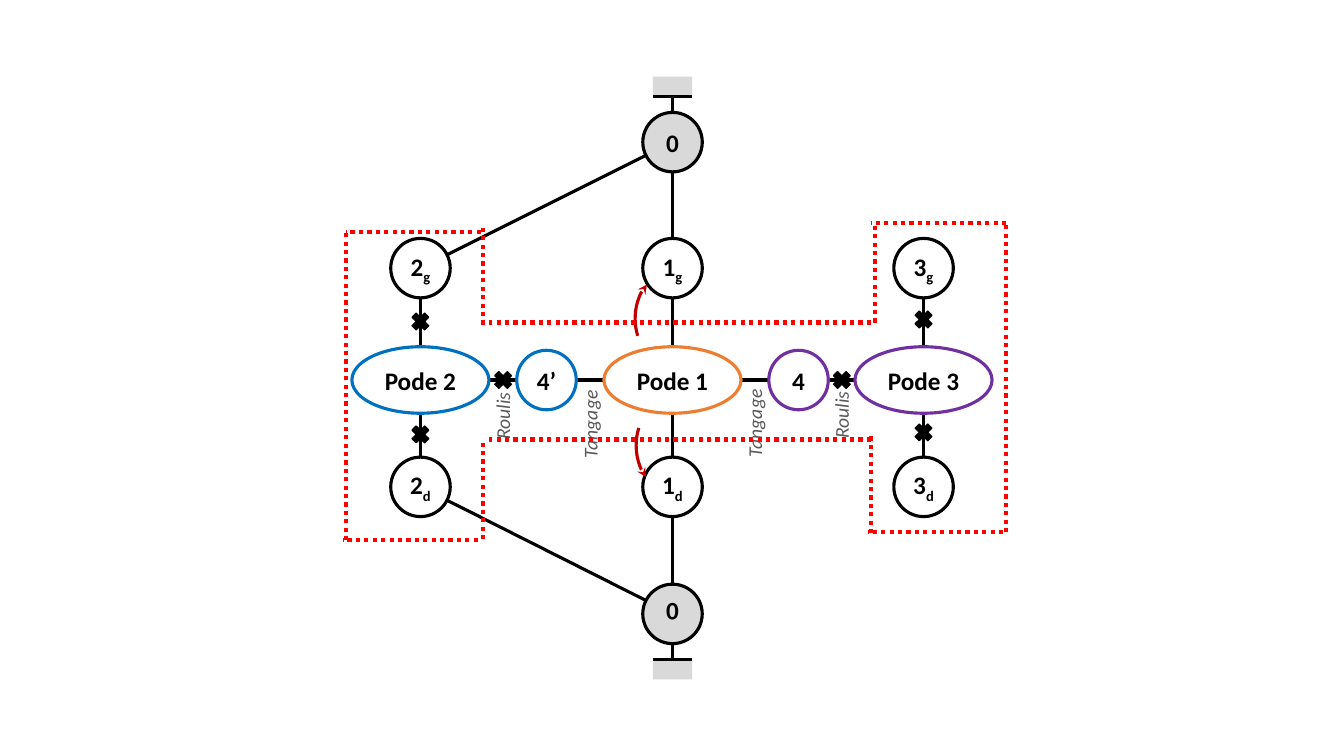
from lxml.etree import SubElement
from pptx import Presentation
from pptx.dml.color import RGBColor
from pptx.enum.dml import MSO_LINE
from pptx.enum.shapes import MSO_CONNECTOR, MSO_SHAPE as Shape
from pptx.enum.text import MSO_ANCHOR, MSO_AUTO_SIZE, PP_ALIGN
from pptx.oxml.ns import qn
from pptx.util import Inches, Pt

COLORS = {
    "black": "000000", "white": "FFFFFF", "gray": "D9D9D9", "text_gray": "595959",
    "blue": "0070C0", "orange": "ED7D31", "purple": "7030A0",
    "dark_red": "C00000", "red": "FF0000",
}
LEFT, MIDDLE, RIGHT = 4.17, 6.67, 9.16
AXIS, UPPER, LOWER = 3.77, 2.66, 4.83
TOP_BASE, BOTTOM_BASE = 1.41, 6.09
NODE, PODE_WIDTH, PODE_HEIGHT = 0.59, 1.36, 0.66
MARK, GROUND_WIDTH, GROUND_HEIGHT = 0.24, 0.39, 0.2


class GraphSlide:
    font_name = "Calibri"
    line_width = 2.25

    def __init__(self, presentation):
        self.slide = presentation.slides.add_slide(presentation.slide_layouts[6])

    def color(self, name):
        return RGBColor.from_string(COLORS[name])

    def style_font(self, font, size, color):
        font.name = self.font_name
        font.size = Pt(size)
        font.color.rgb = self.color(color)

    def shape(self, kind, x, y, width, height, fill=None, line=None, line_width=line_width):
        shape = self.slide.shapes.add_shape(
            kind, Inches(x - width / 2), Inches(y - height / 2), Inches(width), Inches(height))
        shape.shadow.inherit = False
        if fill:
            shape.fill.solid()
            shape.fill.fore_color.rgb = self.color(fill)
        else:
            shape.fill.background()
        if line:
            shape.line.color.rgb = self.color(line)
            shape.line.width = Pt(line_width)
        else:
            shape.line.fill.background()
        return shape

    def node(self, label, x, y, width=NODE, height=NODE, fill="white", line="black", subscript=""):
        shape = self.shape(Shape.OVAL, x, y, width, height, fill, line)
        frame = shape.text_frame
        frame.margin_left = frame.margin_right = frame.margin_top = frame.margin_bottom = 0
        frame.vertical_anchor = MSO_ANCHOR.MIDDLE
        frame.text = label
        paragraph = frame.paragraphs[0]
        paragraph.alignment = PP_ALIGN.CENTER
        if subscript:
            run = paragraph.add_run()
            run.text = subscript
            run.font._element.set("baseline", "-25000")
        for run in paragraph.runs:
            self.style_font(run.font, 18, "black")
            run.font.bold = True
        return shape

    def line(self, x1, y1, x2, y2, color="black", width=line_width, dash=None):
        connector = self.slide.shapes.add_connector(
            MSO_CONNECTOR.STRAIGHT, Inches(x1), Inches(y1), Inches(x2), Inches(y2))
        connector.line.color.rgb = self.color(color)
        connector.line.width = Pt(width)
        if dash:
            connector.line.dash_style = dash
        SubElement(connector._element.spPr, qn("a:effectLst"))
        return connector

    def boundary(self, x1, y1, x2, y2):
        self.line(x1, y1, x2, y2, "red", 3, MSO_LINE.ROUND_DOT)

    def mark(self, x, y):
        self.shape(Shape.MATH_MULTIPLY, x, y, MARK, MARK, "black", "black", 1)

    def ground(self, edge, direction):
        block = self.shape(Shape.RECTANGLE, MIDDLE, edge + direction * GROUND_HEIGHT / 2,
                           GROUND_WIDTH, GROUND_HEIGHT, "gray")
        stem = self.line(MIDDLE, edge - direction * 0.15, MIDDLE, edge)
        stem.end_connect(block, 2 if direction < 0 else 0)
        self.line(MIDDLE - GROUND_WIDTH / 2, edge, MIDDLE + GROUND_WIDTH / 2, edge)

    def axis_label(self, text, left, top, width):
        box = self.slide.shapes.add_textbox(Inches(left), Inches(top), Inches(width), Inches(0.34))
        box.rotation = 270
        frame = box.text_frame
        frame.word_wrap = True
        frame.auto_size = MSO_AUTO_SIZE.SHAPE_TO_FIT_TEXT
        frame.text = text
        paragraph = frame.paragraphs[0]
        paragraph.alignment = PP_ALIGN.RIGHT
        font = paragraph.runs[0].font
        self.style_font(font, 14, "text_gray")
        font.italic = True

    def arc_arrow(self, x, y, start, end, arrow_end):
        arc = self.shape(Shape.ARC, x, y, 0.6, 0.85, line="dark_red")
        arc.adjustments[0] = start
        arc.adjustments[1] = end
        SubElement(arc.line._get_or_add_ln(), qn(f"a:{arrow_end}"), type="stealth")


def draw(graph):
    half_node, half_pode = NODE / 2, PODE_HEIGHT / 2
    for x in (LEFT, MIDDLE, RIGHT):
        graph.line(x, UPPER + half_node, x, AXIS - half_pode)
        graph.line(x, AXIS + half_pode, x, LOWER - half_node)
    for x1, x2 in ((LEFT, MIDDLE), (MIDDLE, RIGHT)):
        graph.line(x1 + PODE_WIDTH / 2, AXIS, x2 - PODE_WIDTH / 2, AXIS)
    for base, row, side in ((TOP_BASE, UPPER, 1), (BOTTOM_BASE, LOWER, -1)):
        graph.line(MIDDLE, base, LEFT, row)
        graph.line(MIDDLE, base + side * half_node, MIDDLE, row - side * half_node)

    columns = ((LEFT, "2", "blue"), (MIDDLE, "1", "orange"), (RIGHT, "3", "purple"))
    for x, number, color in columns:
        graph.node(f"Pode {number}", x, AXIS, PODE_WIDTH, PODE_HEIGHT, None, color)
        fill = None if x == MIDDLE else "white"
        for y, side in ((UPPER, "g"), (LOWER, "d")):
            graph.node(number, x, y, fill=fill, subscript=side)
    graph.node("0", MIDDLE, TOP_BASE, fill="gray")
    graph.node("0", MIDDLE, BOTTOM_BASE, fill="gray").rotation = 180
    graph.ground(0.96, -1)
    graph.ground(6.54, 1)
    graph.node("4", 7.92, AXIS, line="purple")
    graph.node("4’", 5.42, AXIS, line="blue")

    for text, left, top, width in (
        ("Roulis", 4.58, 4.03, 0.81), ("Roulis", 7.94, 4.02, 0.81),
        ("Tangage", 5.32, 4.14, 1.07), ("Tangage", 6.95, 4.13, 1.07),
    ):
        graph.axis_label(text, left, top, width)
    for x, y in ((LEFT, 3.19), (LEFT, 4.31), (RIGHT, 3.17), (RIGHT, 4.29),
                 (8.35, AXIS), (4.99, AXIS)):
        graph.mark(x, y)
    graph.arc_arrow(6.6, 3.16, 88.78, 144.93, "tailEnd")
    graph.arc_arrow(6.61, 4.42, 73.67, 127.44, "headEnd")

    for ends in (
        (8.64, 3.2, 4.85, 3.2), (8.64, 4.36, 4.85, 4.36),
        (9.98, 5.28, 9.98, 2.21), (8.68, 3.2, 8.68, 2.21),
        (9.98, 2.21, 8.64, 2.21), (9.95, 5.28, 8.61, 5.28),
        (8.64, 5.29, 8.64, 4.3), (3.43, 5.36, 3.43, 2.3),
        (4.77, 2.3, 3.43, 2.3), (4.74, 5.36, 3.4, 5.36),
        (4.79, 3.22, 4.79, 2.23), (4.79, 5.35, 4.79, 4.36),
    ):
        graph.boundary(*ends)


def main():
    presentation = Presentation()
    presentation.slide_width = Inches(13.33)
    presentation.slide_height = Inches(7.5)
    draw(GraphSlide(presentation))
    presentation.save("out.pptx")


if __name__ == "__main__":
    main()
